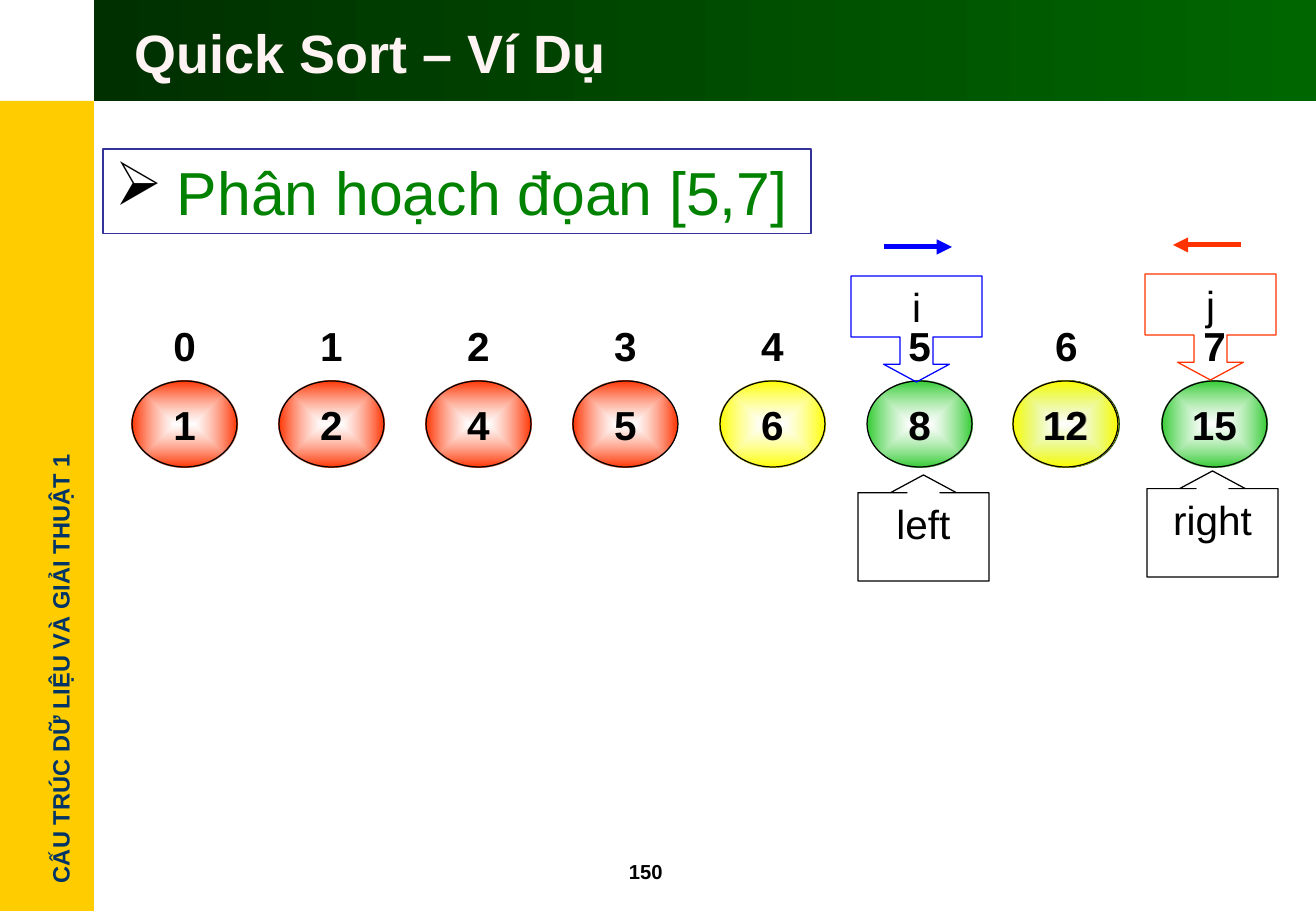
from lxml import etree
from pptx import Presentation
from pptx.dml.color import RGBColor
from pptx.enum.shapes import MSO_CONNECTOR, MSO_SHAPE as SHAPE
from pptx.enum.text import MSO_ANCHOR as ANCHOR, PP_ALIGN as ALIGN
from pptx.oxml.ns import qn
from pptx.util import Pt

PX = 7532
WIDTH, HEIGHT = 1316, 911
BLACK = RGBColor(0x00, 0x00, 0x00)
WHITE = RGBColor(0xFF, 0xFF, 0xFF)
CREAM = RGBColor(0xFF, 0xF3, 0xF3)
GOLD = RGBColor(0xFF, 0xCC, 0x00)
NAVY = RGBColor(0x00, 0x33, 0x66)
INDIGO = RGBColor(0x33, 0x33, 0x99)
DARK_GREEN = RGBColor(0x00, 0x2F, 0x00)
MID_GREEN = RGBColor(0x00, 0x66, 0x00)
TEXT_GREEN = RGBColor(0x00, 0x82, 0x00)
RED = RGBColor(0xFF, 0x33, 0x00)
YELLOW = RGBColor(0xFF, 0xFF, 0x00)
GREEN = RGBColor(0x33, 0xCC, 0x33)
BLUE = RGBColor(0x00, 0x00, 0xFF)

CELLS = [(1, RED), (2, RED), (4, RED), (5, RED),
         (6, YELLOW), (8, GREEN), (12, GREEN), (15, GREEN)]
CELL_W, CELL_H, ROW_SPAN = 105, 86, 1030
CALLOUT_W, CALLOUT_H = 131, 106


def emu(*lengths):
    """Turn px lengths into EMU."""
    return [n * PX for n in lengths]


def write(sp, text, size, color=BLACK, bold=True, align=ALIGN.CENTER,
          anchor=ANCHOR.TOP, before=0, wrap=True):
    """Put one formatted paragraph into a shape and return it."""
    tf = sp.text_frame
    tf.word_wrap = wrap
    tf.vertical_anchor = anchor
    p = tf.paragraphs[0]
    p.alignment = align
    p.space_before = Pt(before)
    r = p.add_run()
    r.text = text
    for name, value in dict(name="Arial", size=Pt(size), bold=bold).items():
        setattr(r.font, name, value)
    r.font.color.rgb = color
    return p


def add_box(s, kind, box, line=None):
    """Add an unfilled preset shape with an optional thin outline."""
    sp = s.shapes.add_shape(kind, *emu(*box))
    sp.shadow.inherit = False
    sp.fill.background()
    if line is None:
        sp.line.fill.background()
    else:
        sp.line.color.rgb = line
        sp.line.width = Pt(0.75)
    return sp


def blend(sp, start, end):
    """Fill a shape with a left-to-right gradient."""
    sp.fill.gradient()
    sp.fill.gradient_angle = 0
    for stop, color in zip(sp.fill.gradient_stops, (start, end)):
        stop.color.rgb = color


def glow(sp, color):
    """Fill a shape with a gradient spreading from a pale centre."""
    blend(sp, WHITE, color)
    grad = sp._element.spPr.find(qn("a:gradFill"))
    etree.SubElement(next(grad.iter(qn("a:srgbClr"))), qn("a:alpha"), val="60000")
    grad.remove(grad.find(qn("a:lin")))
    spread = etree.SubElement(grad, qn("a:path"), {"path": "rect"})
    etree.SubElement(spread, qn("a:fillToRect"), dict.fromkeys("ltrb", "50000"))


def add_sidebar(s, x, y, w, h):
    """Draw the gold band with the course name running upwards."""
    band = add_box(s, SHAPE.RECTANGLE, (x, y, w, h))
    band.fill.solid()
    band.fill.fore_color.rgb = GOLD
    tb = s.shapes.add_textbox(*emu(x - 166, y + 547, 453, 41))
    tb.rotation = 270
    write(tb, "CẤU TRÚC DỮ LIỆU VÀ GIẢI THUẬT 1", 14, NAVY,
          align=ALIGN.LEFT, wrap=False)


def add_header(s, x, y, w, h):
    """Draw the green title band."""
    blend(add_box(s, SHAPE.RECTANGLE, (x, y, w, h)), DARK_GREEN, MID_GREEN)
    tb = s.shapes.add_textbox(*emu(x + 29, y + 11, w - 55, h - 20))
    write(tb, "Quick Sort – Ví Dụ", 32, CREAM,
          align=ALIGN.LEFT, anchor=ANCHOR.MIDDLE)


def add_step(s, *box):
    """Draw the framed, bulleted name of the current step."""
    sp = add_box(s, SHAPE.RECTANGLE, box, INDIGO)
    p = write(sp, "Phân hoạch đọan [5,7]", 36, TEXT_GREEN, bold=False,
              align=ALIGN.LEFT, before=4)
    pPr = p._p.get_or_add_pPr()
    pPr.set("marL", str(62 * PX))
    pPr.set("indent", str(-62 * PX))
    bullet_color = etree.SubElement(pPr, qn("a:buClr"))
    etree.SubElement(bullet_color, qn("a:srgbClr"), val=str(BLACK))
    etree.SubElement(pPr, qn("a:buChar"), char="➢")


def add_cell(s, x, y, value, color):
    """Draw one array element."""
    sp = add_box(s, SHAPE.OVAL, (x, y, CELL_W, CELL_H), BLACK)
    glow(sp, color)
    write(sp, str(value), 24, anchor=ANCHOR.MIDDLE, before=3)


def add_array(s, x, y):
    """Draw the row of elements with their indices above."""
    for i, (value, color) in enumerate(CELLS):
        left = x + i * ROW_SPAN // (len(CELLS) - 1)
        add_cell(s, left, y + 79, value, color)
        tb = s.shapes.add_textbox(*emu(left, y, CELL_W, CELL_H))
        write(tb, str(i), 24, anchor=ANCHOR.MIDDLE, before=3)
    add_cell(s, x + 6 * ROW_SPAN // 7 - 1, y + 79, 12, YELLOW)


def add_callout(s, kind, x, y, text, body, color=BLACK):
    """Draw an arrow callout whose body takes the given share."""
    sp = add_box(s, kind, (x, y, CALLOUT_W, CALLOUT_H), color)
    for i, value in enumerate((0.31, 0.31, 0.167, body)):
        sp.adjustments[i] = value
    write(sp, text, 24, bold=False, before=3)


def add_pointer(s, x, y, text, color, start, end):
    """Draw a moving index with its direction arrow above."""
    add_callout(s, SHAPE.DOWN_ARROW_CALLOUT, x, y, text, 0.575, color)
    line = s.shapes.add_connector(
        MSO_CONNECTOR.STRAIGHT, *emu(x + start, y - 29, x + end, y - 29))
    line.line.color.rgb = color
    line.line.width = Pt(3)
    etree.SubElement(line.line._get_or_add_ln(), qn("a:tailEnd"), type="triangle")
    etree.SubElement(line._element.spPr, qn("a:effectLst"))


def add_sort_slide(prs):
    """Build the partition example slide."""
    s = prs.slides.add_slide(prs.slide_layouts[6])
    add_sidebar(s, 0, 101, 94, HEIGHT - 101)
    add_header(s, 94, 0, WIDTH - 94, 101)
    number = s.shapes.add_textbox(*emu(617, 853, 101, 36))
    write(number, "150", 12, align=ALIGN.LEFT)
    add_step(s, 103, 149, 708, 85)
    add_array(s, 132, 302)
    add_callout(s, SHAPE.UP_ARROW_CALLOUT, 858, 475, "left", 0.851)
    add_callout(s, SHAPE.UP_ARROW_CALLOUT, 1147, 471, "right", 0.851)
    add_pointer(s, 851, 276, "i", BLUE, 33, 101)
    add_pointer(s, 1145, 274, "j", RED, 96, 28)


def main():
    """Create and save the presentation."""
    prs = Presentation()
    prs.slide_width, prs.slide_height = emu(WIDTH, HEIGHT)
    add_sort_slide(prs)
    prs.save("out.pptx")


if __name__ == "__main__":
    main()
